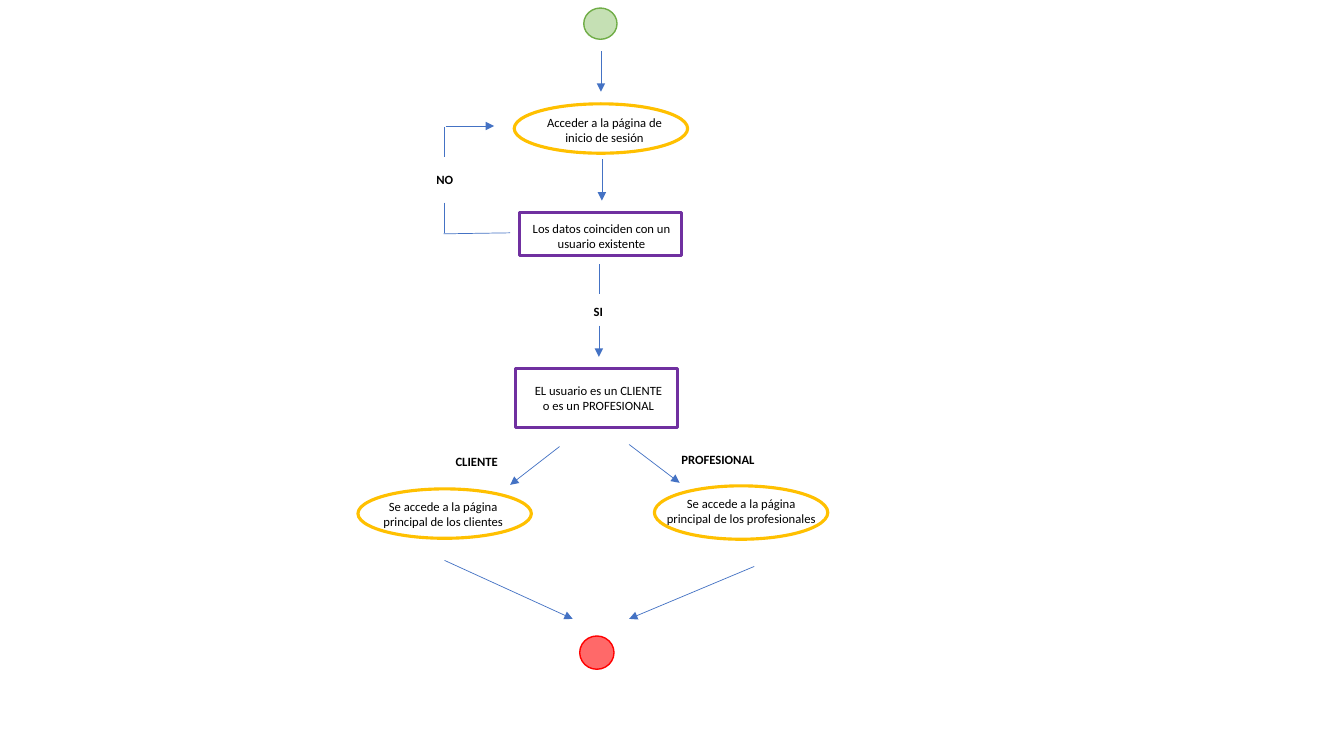
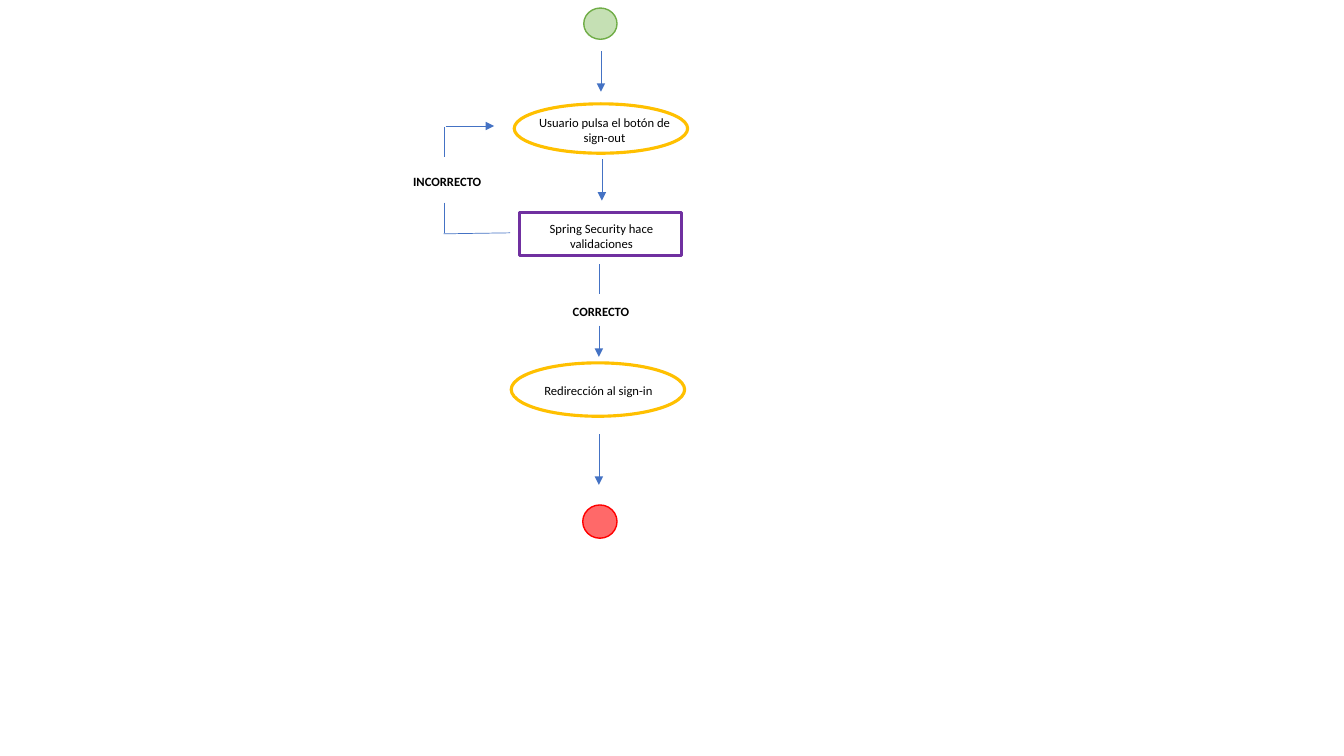
from pptx import Presentation
from pptx.dml.color import RGBColor
from pptx.enum.shapes import MSO_CONNECTOR as CONN, MSO_SHAPE as SHAPE
from pptx.enum.text import MSO_AUTO_SIZE as FIT, PP_ALIGN as ALIGN
from pptx.oxml.ns import qn
from pptx.util import Inches, Pt
from lxml.etree import SubElement

BLACK = RGBColor(0x00, 0x00, 0x00)
ARROW = RGBColor(0x44, 0x72, 0xC4)
GOLD = RGBColor(0xFF, 0xC0, 0x00)
PURPLE = RGBColor(0x70, 0x30, 0xA0)
GREEN, GREEN_EDGE = RGBColor(0xC5, 0xE0, 0xB4), RGBColor(0x70, 0xAD, 0x47)
RED, RED_EDGE = RGBColor(0xFF, 0x69, 0x69), RGBColor(0xFF, 0x00, 0x00)
FONT, SIZE = "Calibri", 9

LOOP, MID, AXIS = 4.41, 5.96, 5.94
NODE_W, BOX_W = 1.72, 1.61
ONE_LINE, TWO_LINES = 0.25, 0.4

KINDS = {
    "action": (SHAPE.OVAL, None, GOLD, 2.25),
    "check": (SHAPE.RECTANGLE, None, PURPLE, 2.25),
    "start": (SHAPE.OVAL, GREEN, GREEN_EDGE, 1),
    "end": (SHAPE.OVAL, RED, RED_EDGE, 1),
}

shared_nodes = [
    ("action", 5.1, 1.03, NODE_W, 0.49),
    ("check", 5.15, 2.11, BOX_W, 0.43),
    ("start", 5.79, 0.08, 0.33, 0.31),
]
shared_lines = [
    (MID, 0.51, MID, 0.91, True),
    (5.97, 1.58, 5.97, 1.99, True),
    (5.06, 2.31, 4.4, 2.32, False),
    (LOOP, 2.01, LOOP, 2.31, False),
    (LOOP, 1.26, LOOP, 1.56, False),
    (4.42, 1.25, 4.9, 1.25, True),
    (AXIS, 2.62, AXIS, 2.92, False),
    (AXIS, 3.23, AXIS, 3.54, True),
]

sign_in = {
    "nodes": [
        ("check", 5.11, 3.66, BOX_W, 0.58),
        ("action", 3.55, 4.85, NODE_W, 0.49),
        ("action", 6.49, 4.82, NODE_W, 0.53),
        ("end", 5.75, 6.31, 0.34, 0.33),
    ],
    "lines": [
        (6.24, 4.41, 6.74, 4.79, True),
        (5.55, 4.43, 5.06, 4.81, True),
        (LOOP, 5.56, 5.68, 6.14, True),
        (7.48, 5.62, 6.24, 6.14, True),
    ],
    "steps": [
        ("Acceder a la página de inicio de sesión", 5.19, 1.09, BOX_W, TWO_LINES),
        ("Los datos coinciden con un usuario existente", 5.16, 2.14, BOX_W, TWO_LINES),
        ("EL usuario es un CLIENTE o es un PROFESIONAL", 5.18, 3.75, 1.51, TWO_LINES),
        ("Se accede a la página principal de los clientes", 3.59, 4.9, BOX_W, TWO_LINES),
        ("Se accede a la página principal de los profesionales", 6.49, 4.87, NODE_W, TWO_LINES),
    ],
    "answers": [
        ("NO", 4.07, 1.66, 0.68, ALIGN.CENTER),
        ("SI", 5.13, 2.97, BOX_W, ALIGN.CENTER),
        ("CLIENTE", 4.42, 4.45, 0.86, ALIGN.LEFT),
        ("PROFESIONAL", 6.66, 4.43, 1.23, ALIGN.LEFT),
    ],
}
sign_out = {
    "nodes": [
        ("action", 5.07, 3.6, NODE_W, 0.53),
        ("end", 5.78, 5.01, 0.34, 0.33),
    ],
    "lines": [(AXIS, 4.31, AXIS, 4.81, True)],
    "steps": [
        ("Usuario pulsa el botón de sign-out", 5.19, 1.09, BOX_W, TWO_LINES),
        ("Spring Security hace validaciones", 5.16, 2.14, BOX_W, TWO_LINES),
        ("Redirección al sign-in", 5.18, 3.75, 1.51, ONE_LINE),
    ],
    "answers": [
        ("INCORRECTO", 3.98, 1.68, 0.91, ALIGN.CENTER),
        ("CORRECTO", 5.57, 2.97, 0.78, ALIGN.CENTER),
    ],
}


def add_label(s, text, x, y, w, h, align, bold):
    tf = s.shapes.add_textbox(Inches(x), Inches(y), Inches(w), Inches(h)).text_frame
    tf.word_wrap = True
    tf.auto_size = FIT.SHAPE_TO_FIT_TEXT
    p = tf.paragraphs[0]
    p.alignment = align
    r = p.add_run()
    r.text = text
    r.font.name, r.font.size, r.font.bold = FONT, Pt(SIZE), bold
    r.font.color.rgb = BLACK


prs = Presentation()
prs.slide_width, prs.slide_height = Inches(13.33), Inches(7.5)

for flow in (sign_in, sign_out):
    s = prs.slides.add_slide(prs.slide_layouts[6])

    for kind, x, y, w, h in shared_nodes + flow["nodes"]:
        preset, fill, edge, width = KINDS[kind]
        sp = s.shapes.add_shape(preset, Inches(x), Inches(y), Inches(w), Inches(h))
        sp.shadow.inherit = False
        if fill is None:
            sp.fill.background()
        else:
            sp.fill.solid()
            sp.fill.fore_color.rgb = fill
        sp.line.color.rgb = edge
        sp.line.width = Pt(width)

    for x1, y1, x2, y2, has_head in shared_lines + flow["lines"]:
        ln = s.shapes.add_connector(CONN.STRAIGHT, Inches(x1), Inches(y1), Inches(x2), Inches(y2))
        ln.line.color.rgb = ARROW
        ln.line.width = Pt(0.5)
        if has_head:
            SubElement(ln.line._get_or_add_ln(), qn("a:tailEnd"), type="triangle")
        SubElement(ln._element.spPr, qn("a:effectLst"))

    for text, x, y, w, h in flow["steps"]:
        add_label(s, text, x, y, w, h, ALIGN.CENTER, False)
    for text, x, y, w, align in flow["answers"]:
        add_label(s, text, x, y, w, ONE_LINE, align, True)

prs.save("out.pptx")
